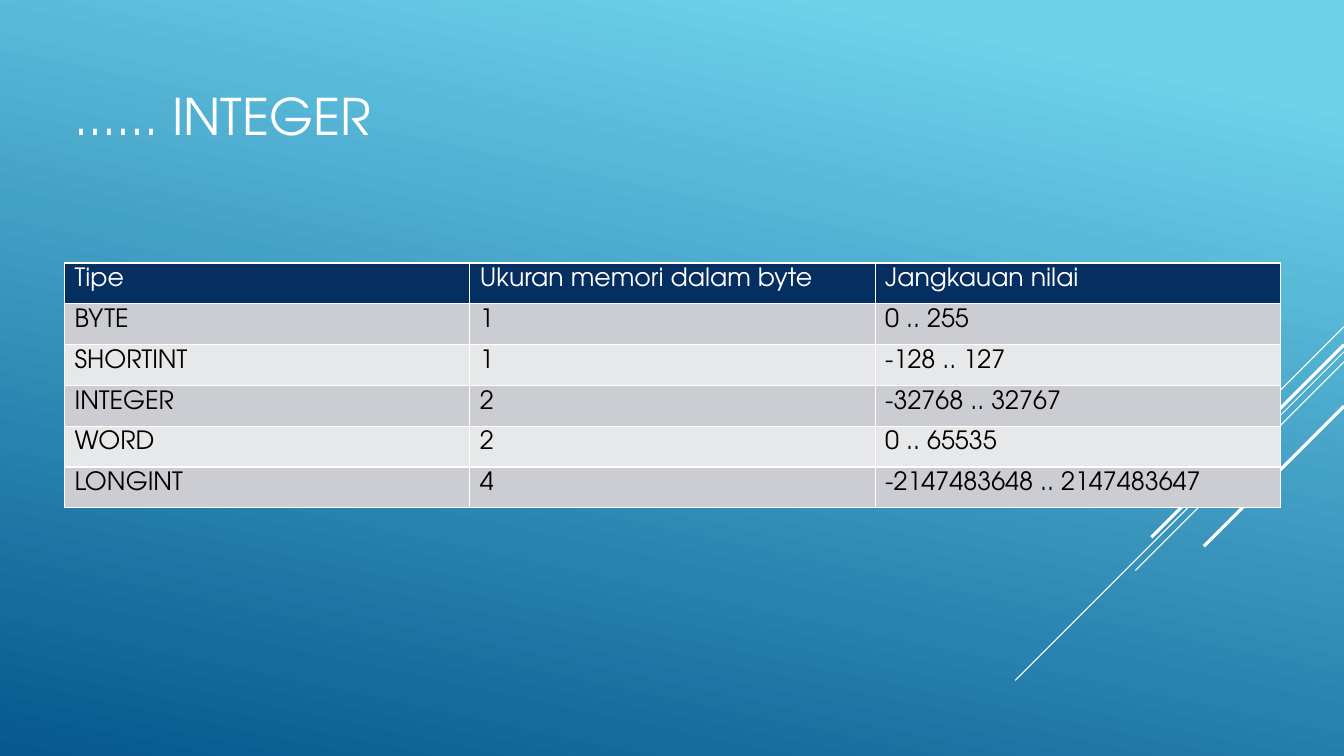
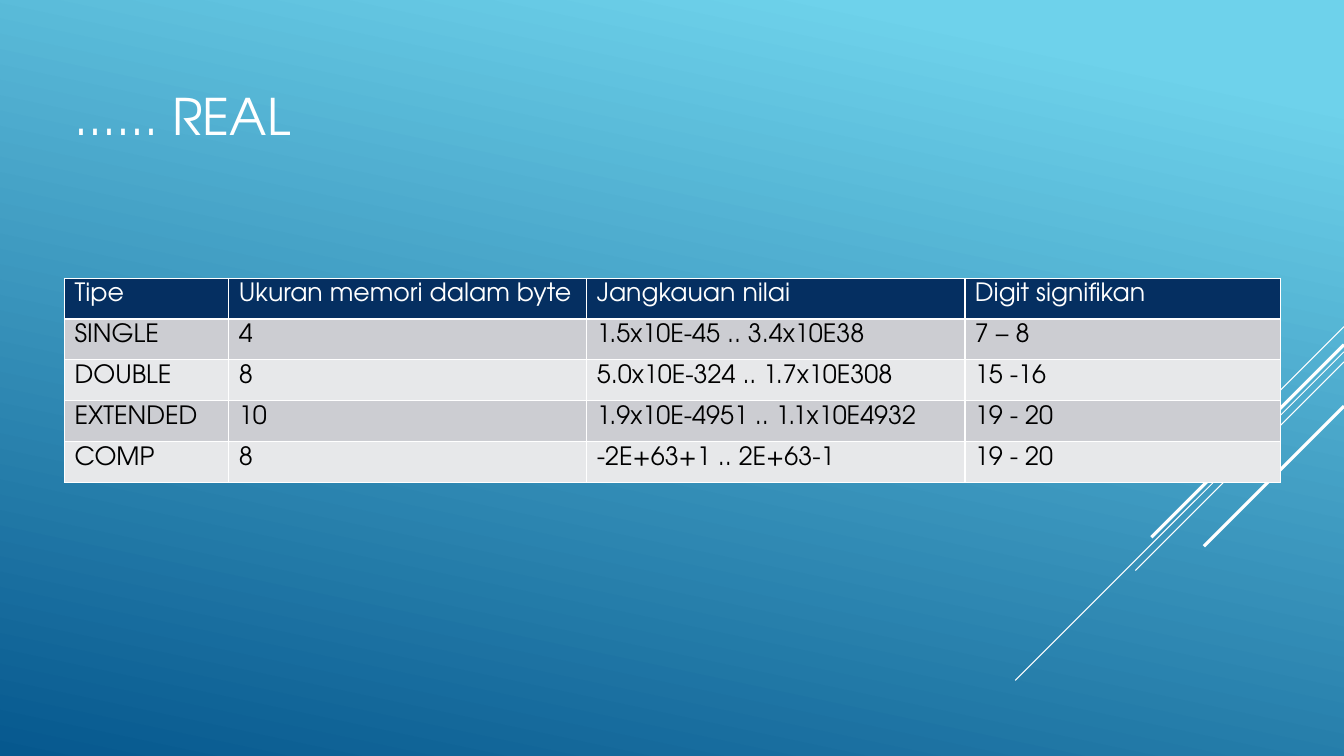
from lxml import etree
from pptx import Presentation
from pptx.dml.color import RGBColor
from pptx.enum.shapes import MSO_CONNECTOR
from pptx.enum.text import MSO_ANCHOR, PP_ALIGN
from pptx.oxml.ns import qn
from pptx.util import Inches, Pt

STRAIGHT = MSO_CONNECTOR.STRAIGHT
MIDDLE = MSO_ANCHOR.MIDDLE
LEFT = PP_ALIGN.LEFT
TITLE_ONLY = 5

WIDTH, HEIGHT = 13.33, 7.5
MARGIN = 0.64
ROW_HEIGHT = 0.405

# Diagonals from the right edge: start height, horizontal run, line width
DIAGONALS = [
    (3.24, 1.0, 0.75),
    (3.49, 3.26, 0.75),
    (3.59, 2.07, 0.75),
    (3.42, 1.91, 2.25),
    (4.03, 1.39, 2.25),
]

INTEGER_TYPES = [
    ("Tipe", "Ukuran memori dalam byte", "Jangkauan nilai"),
    ("BYTE", "1", "0 .. 255"),
    ("SHORTINT", "1", "-128 .. 127"),
    ("INTEGER", "2", "-32768 .. 32767"),
    ("WORD", "2", "0 .. 65535"),
    ("LONGINT", "4", "-2147483648 .. 2147483647"),
]
REAL_TYPES = [
    ("Tipe", "Ukuran memori dalam byte", "Jangkauan nilai", "Digit signifikan"),
    ("SINGLE", "4", "1.5x10E-45 .. 3.4x10E38", "7 – 8"),
    ("DOUBLE", "8", "5.0x10E-324 .. 1.7x10E308", "15 -16"),
    ("EXTENDED", "10", "1.9x10E-4951 .. 1.1x10E4932", "19 - 20"),
    ("COMP", "8", "-2E+63+1 .. 2E+63-1", "19 - 20"),
]


def rgb(color):
    return RGBColor.from_string(color)


class Deck:
    """Holds the shared style and the slide being built."""

    FONT = "TeX Gyre Adventor"
    WHITE, BLACK = "FFFFFF", "000000"
    HEADER = "052F61"
    BANDS = ("CCCDD2", "E7E8EA")
    GRADIENT = ((0.1, "6ED2EB"), (1.0, "06588E"))
    ANGLE = 258

    def __init__(self):
        self.prs = Presentation()
        self.prs.slide_width = Inches(WIDTH)
        self.prs.slide_height = Inches(HEIGHT)
        self.s = None
        self.background()

    def background(self):
        fill = self.prs.slide_master.background.fill
        fill.gradient()
        fill.gradient_angle = self.ANGLE
        for stop, (position, color) in zip(fill.gradient_stops, self.GRADIENT):
            stop.position = position
            stop.color.rgb = rgb(color)

    def slide(self, title):
        self.s = self.prs.slides.add_slide(self.prs.slide_layouts[TITLE_ONLY])
        for top, run, width in DIAGONALS:
            self.diagonal(top, run, width)
        self.title(title)

    def diagonal(self, top, run, width):
        """Draw a 45 degree line down and left from the right edge."""
        line = self.s.shapes.add_connector(
            STRAIGHT, Inches(WIDTH), Inches(top),
            Inches(WIDTH - run), Inches(top + run))
        line.line.color.rgb = rgb(self.WHITE)
        line.line.width = Pt(width)
        etree.SubElement(line._element.spPr, qn("a:effectLst"))

    def style(self, p, size, color):
        p.alignment = LEFT
        p.font.name = self.FONT
        p.font.size = Pt(size)
        p.font.bold = False
        p.font.color.rgb = rgb(color)

    def title(self, text):
        sp = self.s.shapes.title
        sp.left, sp.top = Inches(MARGIN), Inches(0.32)
        sp.width, sp.height = Inches(9.33), Inches(1.65)
        tf = sp.text_frame
        tf.text = text
        tf.vertical_anchor = MIDDLE
        self.style(tf.paragraphs[0], 36, self.WHITE)

    def table(self, top, widths, rows):
        table = self.s.shapes.add_table(
            len(rows), len(widths), Inches(MARGIN), Inches(top),
            Inches(sum(widths)), Inches(ROW_HEIGHT * len(rows))).table
        for column, width in zip(table.columns, widths):
            column.width = Inches(width)
        for i, row in enumerate(rows):
            fill = self.BANDS[(i - 1) % 2] if i else self.HEADER
            color = self.BLACK if i else self.WHITE
            for j, text in enumerate(row):
                self.cell(table.cell(i, j), text, fill, color)

    def cell(self, cell, text, fill, color):
        cell.text = text
        self.style(cell.text_frame.paragraphs[0], 18, color)
        self.borders(cell)
        cell.fill.solid()
        cell.fill.fore_color.rgb = rgb(fill)

    def borders(self, cell):
        """Add the four cell borders, which must come before the fill."""
        props = cell._tc.get_or_add_tcPr()
        for side in ("a:lnL", "a:lnR", "a:lnT", "a:lnB"):
            ln = etree.SubElement(props, qn(side), w=str(Pt(1)))
            solid = etree.SubElement(ln, qn("a:solidFill"))
            etree.SubElement(solid, qn("a:srgbClr"), val=self.WHITE)


def main():
    deck = Deck()
    deck.slide("...... INTEGER")
    deck.table(2.61, [4.02] * 3, INTEGER_TYPES)
    deck.slide("...... REAL")
    deck.table(2.76, [1.63, 3.55, 3.75, 3.13], REAL_TYPES)
    deck.prs.save("out.pptx")


if __name__ == "__main__":
    main()
